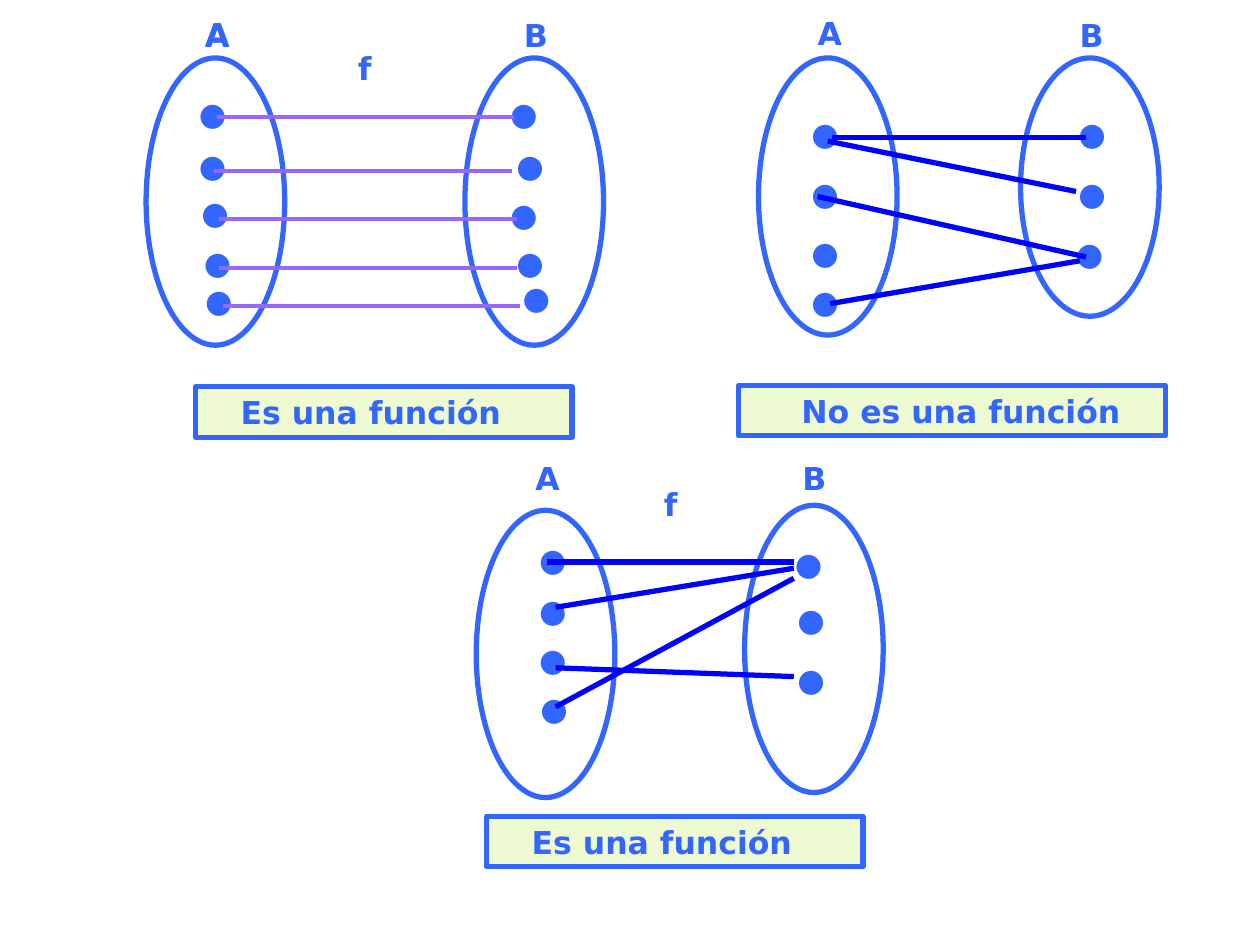
"""Builds a slide with three arrow diagrams that tell functions from non-functions."""
from lxml import etree
from pptx import Presentation
from pptx.dml.color import RGBColor
from pptx.enum.shapes import MSO_CONNECTOR, MSO_SHAPE
from pptx.enum.text import MSO_ANCHOR, PP_ALIGN
from pptx.oxml.ns import qn
from pptx.util import Inches, Pt

OVAL, RECT = MSO_SHAPE.OVAL, MSO_SHAPE.RECTANGLE
STRAIGHT = MSO_CONNECTOR.STRAIGHT
LEFT, TOP = PP_ALIGN.LEFT, MSO_ANCHOR.TOP
COLORS = {
    "blue": "3366FF",
    "violet": "9966FF",
    "arrow": "0000FF",
    "caption": "EDFAD2",
    "white": "FFFFFF",
}
FONT = "DejaVu Sans"

prs = Presentation()
prs.slide_width, prs.slide_height = Inches(10), Inches(7.5)
slide = prs.slides.add_slide(prs.slide_layouts[6])
cell = prs.slide_width / 100
ROW_H = 4
SET_W = 11
DOT_W = 3.9
LETTER_W = 3.1


def add_outlined(kind, x, y, w, h, fill):
    s = slide.shapes.add_shape(kind, *(int(v * cell) for v in (x, y, w, h)))
    s.shadow.inherit = False
    s.fill.solid()
    s.fill.fore_color.rgb = RGBColor.from_string(COLORS[fill])
    s.line.color.rgb = RGBColor.from_string(COLORS["blue"])
    s.line.width = Pt(3)
    return s


def add_text(text, x, y, w, bold=True, indent=1, s=None):
    s = s or slide.shapes.add_textbox(*(int(v * cell) for v in (x, y, w, ROW_H)))
    tf = s.text_frame
    tf.word_wrap = True
    tf.vertical_anchor = TOP
    tf.margin_left, tf.margin_right = int(indent * cell), int(cell)
    tf.margin_top = tf.margin_bottom = int(cell / 2)
    tf.text = text
    p = tf.paragraphs[0]
    p.alignment = LEFT
    r = p.runs[0]
    r.font.name, r.font.size, r.font.bold = FONT, Pt(18), bold
    r.font.color.rgb = RGBColor.from_string(COLORS["blue"])


diagrams = [
    {
        "sets": [(11.6, 4.6, 22.8), (36.9, 4.6, 22.8)],
        "dots": [(14.8, 7), (14.8, 11.1), (15, 14.8), (15.2, 18.8), (15.3, 21.8),
                 (39.5, 7), (40, 11.1), (39.5, 15), (40, 18.8), (40.5, 21.6)],
        "lines": [(x, y, x + 23.6, y) for x, y in
                  [(17.2, 9.3), (17, 13.6), (17.4, 17.4), (17.4, 21.3), (17.7, 24.3)]],
        "stroke": ("violet", 2.25),
        "letters": [("A", 15.3, 0.7), ("A", 15.3, 0.8), ("B", 40.6, 0.8)],
        "f": (25.8, 3.4),
        "caption": ("Es una función", 15.5, 30.7, 29.9, 3.6),
    },
    {
        "sets": [(60.2, 4.6, 22), (81, 4.6, 20.5)],
        "dots": [(63.4, 8.6), (63.4, 13.3), (63.4, 18), (63.4, 21.9),
                 (84.6, 8.6), (84.6, 13.3), (84.4, 18.1)],
        "lines": [(66, 10.9, 86.2, 10.9), (65.7, 11.2, 85.4, 15.2),
                  (64.9, 15.6, 86.2, 20.4), (65.9, 24.1, 85.7, 20.7)],
        "stroke": ("arrow", 3),
        "letters": [("A", 63.9, 0.6), ("B", 84.7, 0.8)],
        "f": None,
        "caption": ("No es una función", 58.6, 30.6, 33.9, 5),
    },
    {
        "sets": [(37.8, 40.5, 22.8), (59.1, 40.1, 22.8)],
        "dots": [(41.8, 42.4), (41.8, 46.4), (41.8, 50.3), (41.9, 54.2),
                 (62.1, 42.7), (62.3, 47.1), (62.3, 51.9)],
        "lines": [(44.1, 56.1, 63, 45.9), (44.1, 48.2, 63, 45.1),
                  (44.1, 53, 63, 53.7), (43.4, 44.6, 63, 44.6)],
        "stroke": ("arrow", 3),
        "letters": [("A", 41.5, 35.9), ("B", 62.7, 35.9)],
        "f": (50.1, 38),
        "caption": ("Es una función", 38.6, 64.8, 29.9, 3.6),
    },
]

for d in diagrams:
    for x, y, h in d["sets"]:
        add_outlined(OVAL, x, y, SET_W, h, "white")
    for x, y in d["dots"]:
        add_text("●", x, y, DOT_W, bold=False)
    color, width = d["stroke"]
    for ends in d["lines"]:
        c = slide.shapes.add_connector(STRAIGHT, *(int(v * cell) for v in ends))
        c.line.color.rgb = RGBColor.from_string(COLORS[color])
        c.line.width = Pt(width)
        etree.SubElement(c._element.spPr, qn("a:effectLst"))
    for letter, x, y in d["letters"]:
        add_text(letter, x, y, LETTER_W)
    if d["f"]:
        add_text("f", *d["f"], SET_W, indent=2.6)
    text, x, y, w, indent = d["caption"]
    s = add_outlined(RECT, x, y, w, ROW_H, "caption")
    add_text(text, x, y, w, indent=indent, s=s)

prs.save("out.pptx")
